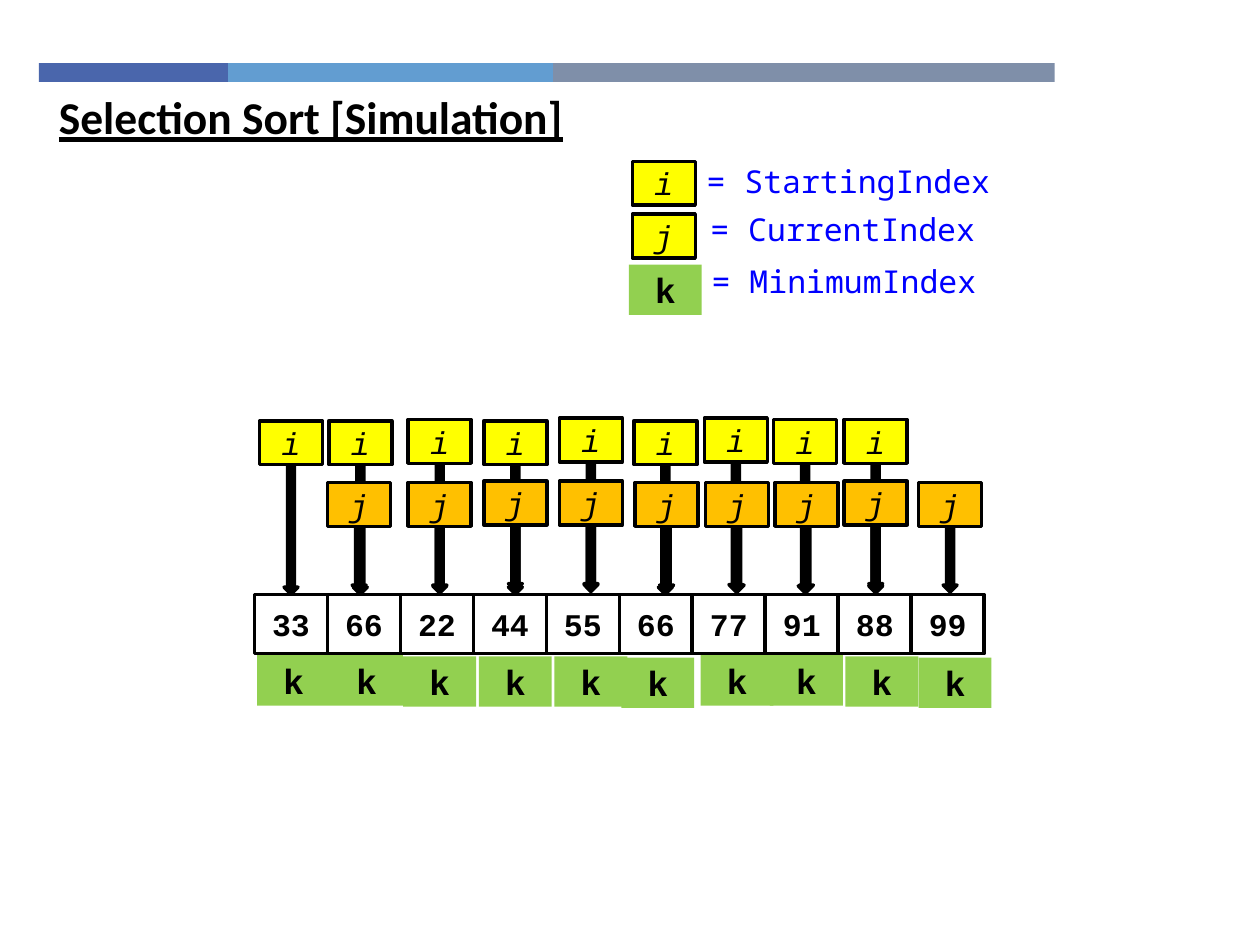
from pptx import Presentation
from pptx.dml.color import RGBColor
from pptx.enum.shapes import MSO_SHAPE as Preset
from pptx.enum.text import MSO_ANCHOR as Anchor, PP_ALIGN as Align
from pptx.util import Pt

# Content
TITLE = "Selection Sort [Simulation]"
BANDS = [(22.3, 108, "4A66AC"), (130.3, 185.8, "629DD1"), (316.1, 286.6, "7F8FA9")]
VALUES = [33, 66, 22, 44, 55, 66, 77, 91, 88, 99]
# Marker, marker left and top, meaning, meaning left and top
LEGEND = [
    ("i", 361.4, 92.2, "= StartingIndex", 396.7, 89.3),
    ("j", 361.4, 122.4, "= CurrentIndex", 398.9, 116.6),
    ("k", 359.3, 151.2, "= MinimumIndex", 399.6, 146.2),
]
# Left and top of each hand-placed marker
START_MARKERS = [
    (148.3, 240.5), (187.9, 240.5), (233.3, 239.8), (276.5, 240.5), (319.7, 239),
    (362.2, 240.5), (402.5, 239), (442.1, 239.8), (482.4, 239.8),
]
CURRENT_MARKERS = [
    (187.2, 275.8), (276.5, 275), (233.3, 275.8), (319.7, 275), (362.9, 275.8),
    (403.2, 275.8), (442.8, 275.8), (482.4, 275), (524.9, 275.8),
]
MINIMUM_MARKERS = [
    (146.9, 374.4), (188.6, 374.4), (230.4, 375.1), (273.6, 375.1), (316.8, 375.1),
    (355, 375.8), (400.3, 374.4), (439.9, 374.4), (483.1, 375.1), (524.9, 375.8),
]

# Sizes and colours
MARKER_WIDTH, MARKER_HEIGHT = 36, 25
CELL_WIDTH, CELL_HEIGHT = 41.7, 33.8
CELLS_LEFT, CELLS_TOP = 145.4, 339.8
MINIMUM_HEIGHT = 28.8
ARROW_WIDTH = 7.9
BLACK, WHITE, BLUE = "000000", "FFFFFF", "0000FF"
YELLOW, ORANGE, GREEN = "FFFF00", "FFC000", "92D050"

presentation = Presentation()
presentation.slide_width, presentation.slide_height = Pt(720), Pt(540)
slide = presentation.slides.add_slide(presentation.slide_layouts[6])


def color(value):
    return RGBColor.from_string(value)


def write(shape, text, size, name, ink=BLACK, **styles):
    paragraph = shape.text_frame.paragraphs[0]
    paragraph.text = text
    font = paragraph.font
    font.size, font.name = Pt(size), name
    font.color.rgb = color(ink)
    for style, value in styles.items():
        setattr(font, style, value)
    return paragraph


def add_shape(preset, left, top, width, height, fill, outlined=True):
    shape = slide.shapes.add_shape(preset, Pt(left), Pt(top), Pt(width), Pt(height))
    shape.shadow.inherit = False
    shape.fill.solid()
    shape.fill.fore_color.rgb = color(fill)
    if outlined:
        shape.line.color.rgb = color(BLACK)
        shape.line.width = Pt(2)
    else:
        shape.line.fill.background()
    return shape


def add_box(text, left, top, width, height, fill, size=18, outlined=True, **styles):
    box = add_shape(Preset.RECTANGLE, left, top, width, height, fill, outlined)
    box.text_frame.vertical_anchor = Anchor.MIDDLE
    write(box, text, size, "Courier New", **styles).alignment = Align.CENTER


def add_marker(text, left, top, fill):
    add_box(text, left, top, MARKER_WIDTH, MARKER_HEIGHT, fill, italic=True)


def add_minimum(left, top):
    add_box("k", left, top, CELL_WIDTH, MINIMUM_HEIGHT, GREEN, 20, False, bold=True)


def add_pointer(text, left, top, fill, arrow_offset, arrow_height):
    arrow_left = left + (MARKER_WIDTH - ARROW_WIDTH) / 2
    add_shape(Preset.DOWN_ARROW, arrow_left, top + arrow_offset,
              ARROW_WIDTH, arrow_height, BLACK)
    add_marker(text, left, top, fill)


def add_text(text, left, top, width, height, *font, **styles):
    box = slide.shapes.add_textbox(Pt(left), Pt(top), Pt(width), Pt(height))
    box.text_frame.word_wrap = True
    write(box, text, *font, **styles)


# Header bands and title
for left, width, fill in BANDS:
    add_shape(Preset.RECTANGLE, left, 36, width, 10.8, fill, outlined=False)
add_text(TITLE, 26.6, 47.5, 515.5, 38.2, 26, "Calibri", bold=True, underline=True)

# Legend
for marker, left, top, meaning, text_left, text_top in LEGEND:
    if marker == "k":
        add_minimum(left, top)
    else:
        add_marker(marker, left, top, YELLOW)
    add_text(meaning, text_left, text_top, 182.9, 28.8, 18, "Noto Sans Mono", BLUE)

# Array cells
for index, value in enumerate(VALUES):
    add_box(str(value), CELLS_LEFT + index * CELL_WIDTH, CELLS_TOP,
            CELL_WIDTH, CELL_HEIGHT, WHITE, bold=True)

# Index pointers above the array
for left, top in START_MARKERS:
    add_pointer("i", left, top, YELLOW, 23.4, 75.6)
for left, top in CURRENT_MARKERS:
    add_pointer("j", left, top, ORANGE, 15, 47.5)

# Minimum markers below the array
for left, top in MINIMUM_MARKERS:
    add_minimum(left, top)

presentation.save("out.pptx")
